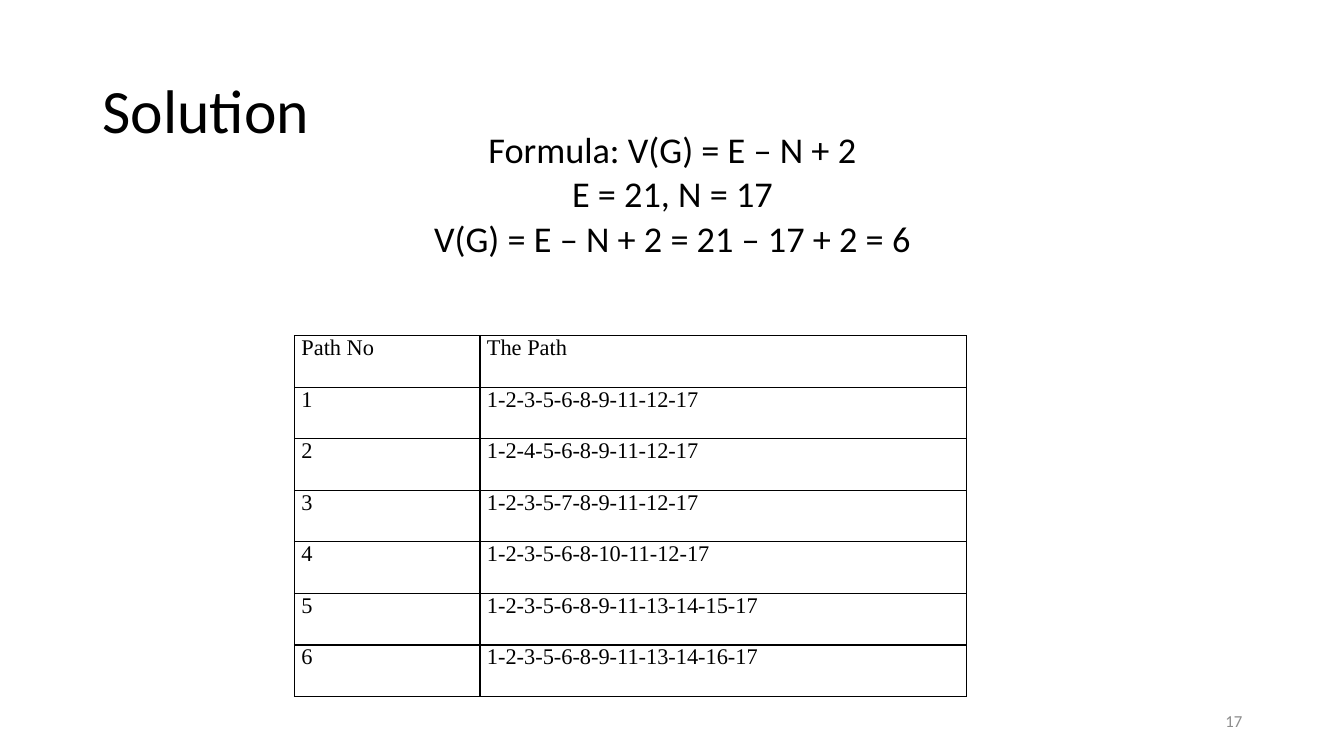
from dataclasses import dataclass

from lxml import etree
from pptx import Presentation
from pptx.dml.color import RGBColor
from pptx.enum.text import MSO_ANCHOR, PP_ALIGN
from pptx.oxml.ns import qn
from pptx.util import Inches, Pt

COLORS = {"text": "000000", "border": "000000", "number": "8C8C8C"}


@dataclass
class TextBlock:
    lines: list[str]
    left: float
    top: float
    width: float
    height: float
    size: float
    color: str = "text"
    align: PP_ALIGN = PP_ALIGN.LEFT
    anchor: MSO_ANCHOR = MSO_ANCHOR.MIDDLE
    line_spacing: float = 1.0
    space_before: float = 0


TITLE = TextBlock(["Solution"], 0.92, 0.4, 11.5, 1.45, 44, line_spacing=0.9)
FORMULA = TextBlock(
    ["Formula: V(G) = E – N + 2", "E = 21, N = 17", "V(G) = E – N + 2 = 21 – 17 + 2 = 6"],
    2.17, 1.33, 9, 1.83, 25.9, align=PP_ALIGN.CENTER, anchor=MSO_ANCHOR.TOP,
    line_spacing=0.7, space_before=10,
)
PAGE_NUMBER = TextBlock(["17"], 9.42, 6.95, 3, 0.4, 12, "number", PP_ALIGN.RIGHT)

PATHS = [
    "1-2-3-5-6-8-9-11-12-17",
    "1-2-4-5-6-8-9-11-12-17",
    "1-2-3-5-7-8-9-11-12-17",
    "1-2-3-5-6-8-10-11-12-17",
    "1-2-3-5-6-8-9-11-13-14-15-17",
    "1-2-3-5-6-8-9-11-13-14-16-17",
]
COLUMN_WIDTHS = [1.84, 4.83]
TABLE_HEIGHT = 3.58


def add_run(p, text: str, font: str, size: float, color: str) -> None:
    r = p.add_run()
    r.text = text
    r.font.name = font
    r.font.size = Pt(size)
    r.font.color.rgb = RGBColor.from_string(COLORS[color])


def add_text(s, block: TextBlock) -> None:
    box = s.shapes.add_textbox(
        Inches(block.left), Inches(block.top), Inches(block.width), Inches(block.height))
    tf = box.text_frame
    tf.word_wrap = True
    tf.vertical_anchor = block.anchor
    for i, line in enumerate(block.lines):
        p = tf.add_paragraph() if i else tf.paragraphs[0]
        p.alignment = block.align
        p.line_spacing = block.line_spacing
        p.space_before = Pt(block.space_before if i else 0)
        add_run(p, line, "Calibri", block.size, block.color)


def add_borders(cell) -> None:
    tc_pr = cell._tc.get_or_add_tcPr()
    for i, side in enumerate(("a:lnL", "a:lnR", "a:lnT", "a:lnB")):
        ln = etree.Element(qn(side), w=str(Pt(1)))
        fill = etree.SubElement(ln, qn("a:solidFill"))
        etree.SubElement(fill, qn("a:srgbClr"), val=COLORS["border"])
        tc_pr.insert(i, ln)


def add_path_table(s) -> None:
    rows = [("Path No", "The Path")]
    rows += [(str(number), route) for number, route in enumerate(PATHS, 1)]
    table = s.shapes.add_table(
        len(rows), len(COLUMN_WIDTHS), Inches(2.92), Inches(3.33),
        Inches(sum(COLUMN_WIDTHS)), Inches(TABLE_HEIGHT)).table
    for column, width in zip(table.columns, COLUMN_WIDTHS):
        column.width = Inches(width)
    table.first_row = False
    table.horz_banding = False
    for i, row in enumerate(rows):
        for j, text in enumerate(row):
            cell = table.cell(i, j)
            cell.fill.background()
            cell.margin_left = cell.margin_right = Inches(0.07)
            cell.margin_top = cell.margin_bottom = 0
            add_borders(cell)
            add_run(cell.text_frame.paragraphs[0], text, "Times New Roman", 16, "text")


def main() -> None:
    prs = Presentation()
    prs.slide_width, prs.slide_height = Inches(13.33), Inches(7.5)
    s = prs.slides.add_slide(prs.slide_layouts[6])

    # Heading and calculation
    add_text(s, TITLE)
    add_text(s, FORMULA)

    # Independent paths
    add_path_table(s)

    # Footer
    add_text(s, PAGE_NUMBER)

    prs.save("out.pptx")


if __name__ == "__main__":
    main()
